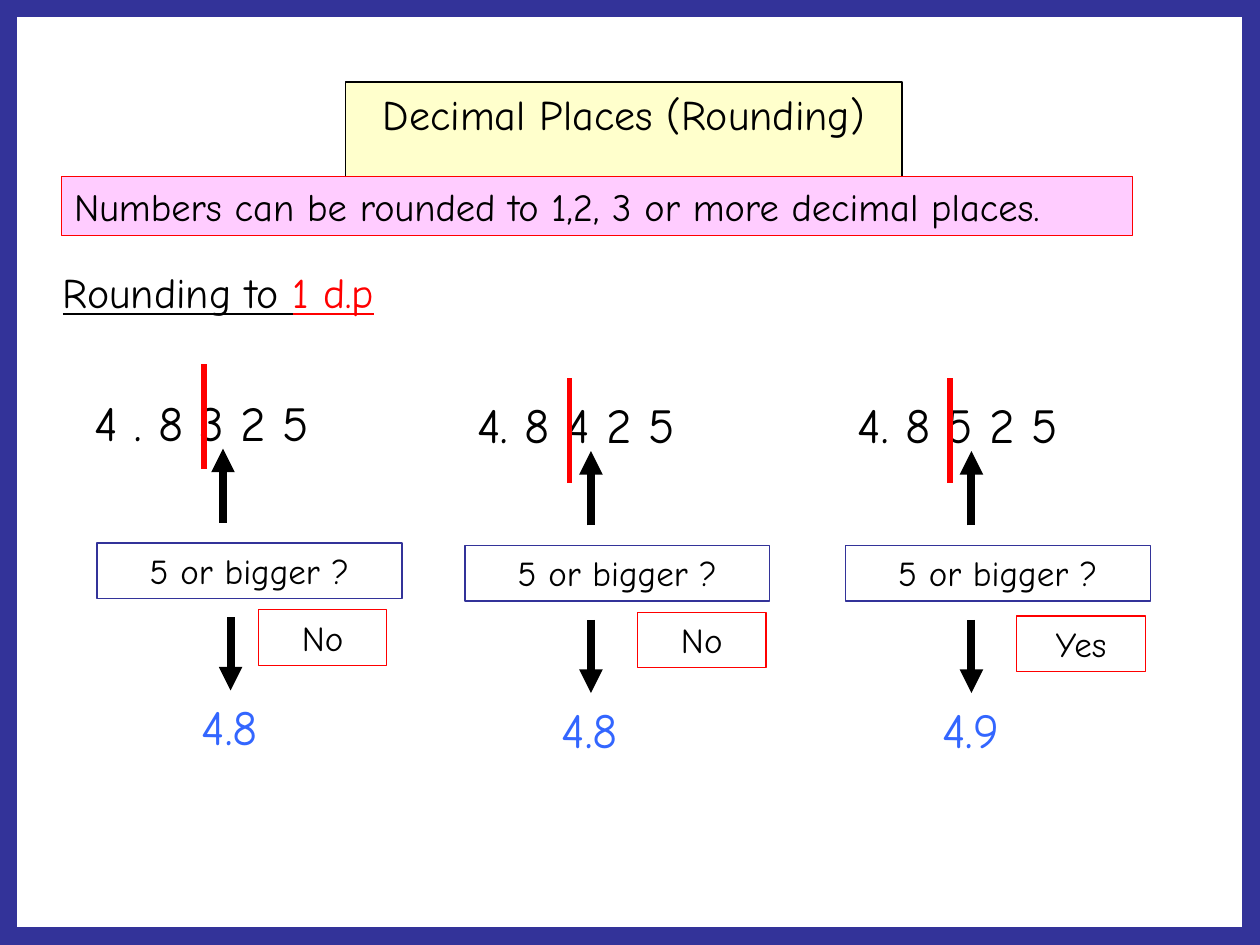
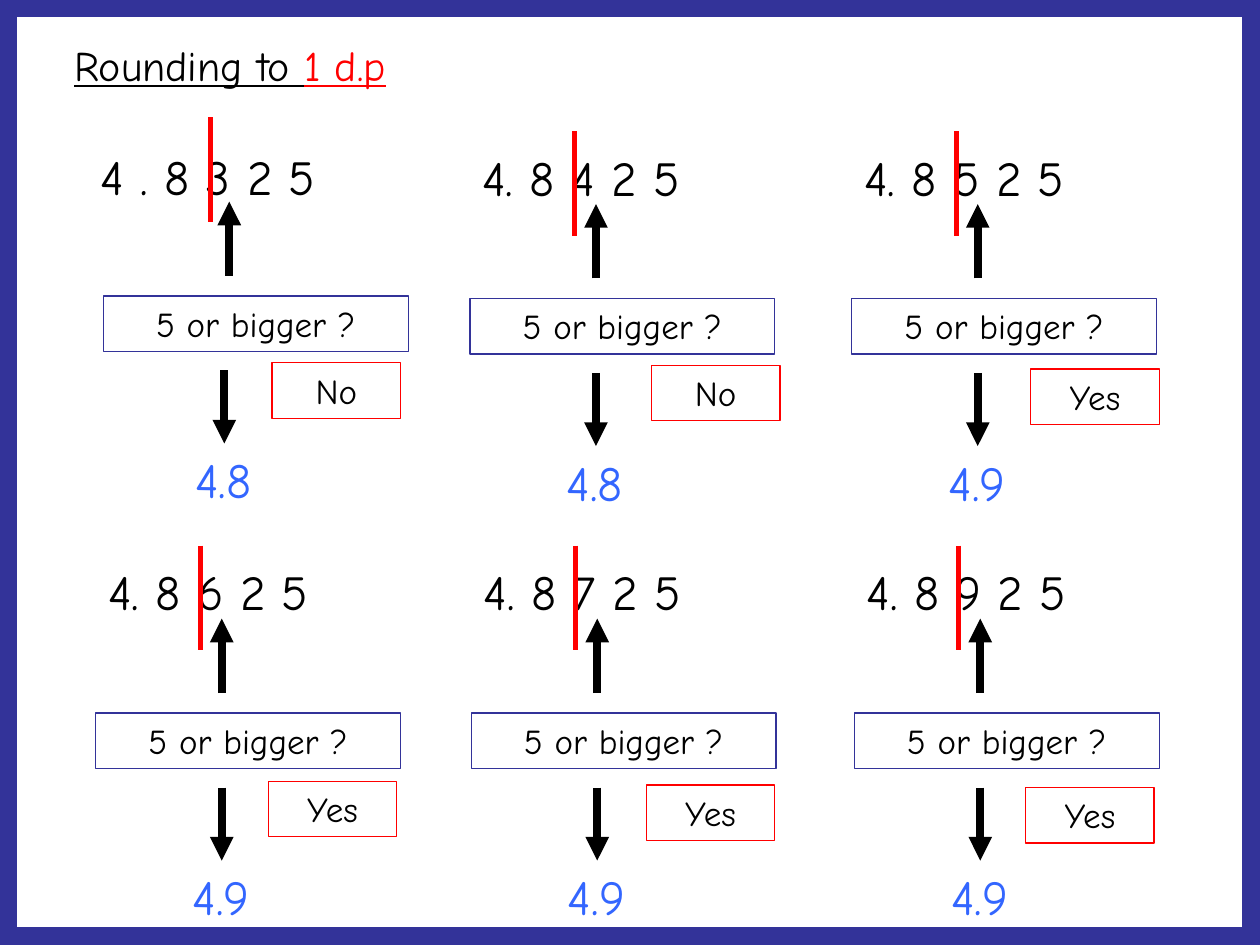
from lxml import etree
from pptx import Presentation
from pptx.dml.color import RGBColor
from pptx.enum.shapes import MSO_CONNECTOR, MSO_SHAPE
from pptx.enum.text import MSO_ANCHOR, MSO_AUTO_SIZE, PP_ALIGN
from pptx.oxml.ns import qn
from pptx.util import Pt

PX = 9144  # EMU per px, 100 px to the inch
SLIDE_W, SLIDE_H = 1000, 750
FONT = "Comic Neue"
LEFT, CENTER = PP_ALIGN.LEFT, PP_ALIGN.CENTER
RECT, STRAIGHT = MSO_SHAPE.RECTANGLE, MSO_CONNECTOR.STRAIGHT
TITLE_ONLY = 5

COLORS = {
    "ink": "000000",
    "red": "FF0000",
    "navy": "333399",
    "result": "3366FF",
    "title_fill": "FFFFCC",
    "note_fill": "FFCCFF",
}
TEXT_FRAME = {
    "word_wrap": True,
    "auto_size": MSO_AUTO_SIZE.SHAPE_TO_FIT_TEXT,
    "vertical_anchor": MSO_ANCHOR.TOP,
    "margin_left": 10 * PX,
    "margin_right": 10 * PX,
    "margin_top": 5 * PX,
    "margin_bottom": 5 * PX,
}
HEADING = [("Rounding to ", "ink"), ("1 d.p", "red")]

# Offsets from the corner of an example: number (x, y, width), cut line (x, y)
TIGHT = {"number": (0, 0, 250), "cut": (83, -8)}
SPACED = {"number": (-12, 1, 242), "cut": (85, -17)}

# Each example: corner, number, offset of the answer box, x of the lower arrow
INTRO_EXAMPLES = [
    ((77, 306), "4 . 8 3 2 5", (128, 178), 106),
    ((369, 308), "4. 8 4 2 5", (137, 178), 100),
    ((671, 308), "4. 8 5 2 5", (136, 181), 100),
]
MORE_EXAMPLES = [
    ((82, 110), "4 . 8 3 2 5", (134, 178), 96),
    ((373, 112), "4. 8 4 2 5", (144, 178), 100),
    ((676, 112), "4. 8 5 2 5", (142, 181), 100),
    ((76, 441), "4. 8 6 2 5", (137, 179), 100),
    ((374, 441), "4. 8 7 2 5", (139, 182), 100),
    ((678, 441), "4. 8 9 2 5", (136, 184), 100),
]


def rgb(name):
    return RGBColor.from_string(COLORS[name])


def emu(box):
    return [v * PX for v in box]


def place(sp, box):
    sp.left, sp.top, sp.width, sp.height = emu(box)


def write(sp, runs, size, align=LEFT, underline=False):
    """Fill a shape with one paragraph of (text, colour) runs."""
    tf = sp.text_frame
    for name, value in TEXT_FRAME.items():
        setattr(tf, name, value)
    p = tf.paragraphs[0]
    p.alignment = align
    style = {"name": FONT, "size": Pt(size), "underline": underline}
    for text, color in runs:
        r = p.add_run()
        r.text = text
        for name, value in style.items():
            setattr(r.font, name, value)
        r.font.color.rgb = rgb(color)


def outline(sp, line, fill=None, width=0.75):
    if fill:
        sp.fill.solid()
        sp.fill.fore_color.rgb = rgb(fill)
    else:
        sp.fill.background()
    sp.line.color.rgb = rgb(line)
    sp.line.width = Pt(width)


def add_rect(slide, box, line, fill=None, width=0.75):
    sp = slide.shapes.add_shape(RECT, *emu(box))
    sp.shadow.inherit = False
    outline(sp, line, fill, width)
    return sp


def add_text(slide, box, runs, size, **style):
    write(slide.shapes.add_textbox(*emu(box)), runs, size, **style)


def add_vertical(slide, x, y1, y2, color, width, arrow=False):
    """Draw a vertical line from y1 to y2, with an optional head at y2."""
    line = slide.shapes.add_connector(STRAIGHT, *emu((x, y1, x, y2)))
    line.line.color.rgb = rgb(color)
    line.line.width = Pt(width)
    if arrow:
        etree.SubElement(line.line._get_or_add_ln(), qn("a:tailEnd"), type="triangle")
    etree.SubElement(line._element.spPr, qn("a:effectLst"))


def add_example(slide, corner, number, answer_at, down_x):
    """Show one number, the test of its second decimal and the result."""
    x, y = corner
    spacing = SPACED if number.startswith("4 .") else TIGHT
    round_up = int(number.split()[-3]) >= 5
    answer, result = ("Yes", "4.9") if round_up else ("No", "4.8")

    dx, dy, width = spacing["number"]
    add_text(slide, (x + dx, y + dy, width, 57), [(number, "ink")], 28)
    question = add_rect(slide, (x, y + 125, 242, 44), "navy")
    write(question, [("5 or bigger ?", "ink")], 20, CENTER)
    add_vertical(slide, x + 100, y + 109, y + 50, "ink", 4.5, arrow=True)
    dx, dy = spacing["cut"]
    add_vertical(slide, x + dx, y + dy, y + dy + 83, "red", 3)
    add_vertical(slide, x + down_x, y + 184, y + 242, "ink", 4.5, arrow=True)
    add_text(slide, (x + down_x - 33, y + 242, 83, 57), [(result, "result")], 28)
    dx, dy = answer_at
    reply = add_rect(slide, (x + dx, y + dy, 102, 44), "red")
    write(reply, [(answer, "ink")], 20, CENTER)


def add_examples_and_frame(slide, examples):
    for example in examples:
        add_example(slide, *example)
    add_rect(slide, (0, 0, SLIDE_W, SLIDE_H), "navy", width=20)


def build_intro(slide):
    title = slide.shapes.title
    place(title, (274, 65, 442, 50))
    outline(title, "ink", "title_fill")
    write(title, [("Decimal Places (Rounding)", "ink")], 24, CENTER)
    note = add_rect(slide, (49, 140, 850, 47), "red", "note_fill")
    write(note, [("Numbers can be rounded to 1,2, 3 or more decimal places.", "ink")], 22)
    add_text(slide, (40, 207, 292, 50), HEADING, 24, underline=True)
    add_examples_and_frame(slide, INTRO_EXAMPLES)


def build_more(slide):
    title = slide.shapes.title
    place(title, (49, 26, 292, 50))
    write(title, HEADING, 24, underline=True)
    add_examples_and_frame(slide, MORE_EXAMPLES)


def main():
    prs = Presentation()
    prs.slide_width, prs.slide_height = emu((SLIDE_W, SLIDE_H))
    for build in (build_intro, build_more):
        build(prs.slides.add_slide(prs.slide_layouts[TITLE_ONLY]))
    prs.save("out.pptx")


if __name__ == "__main__":
    main()
